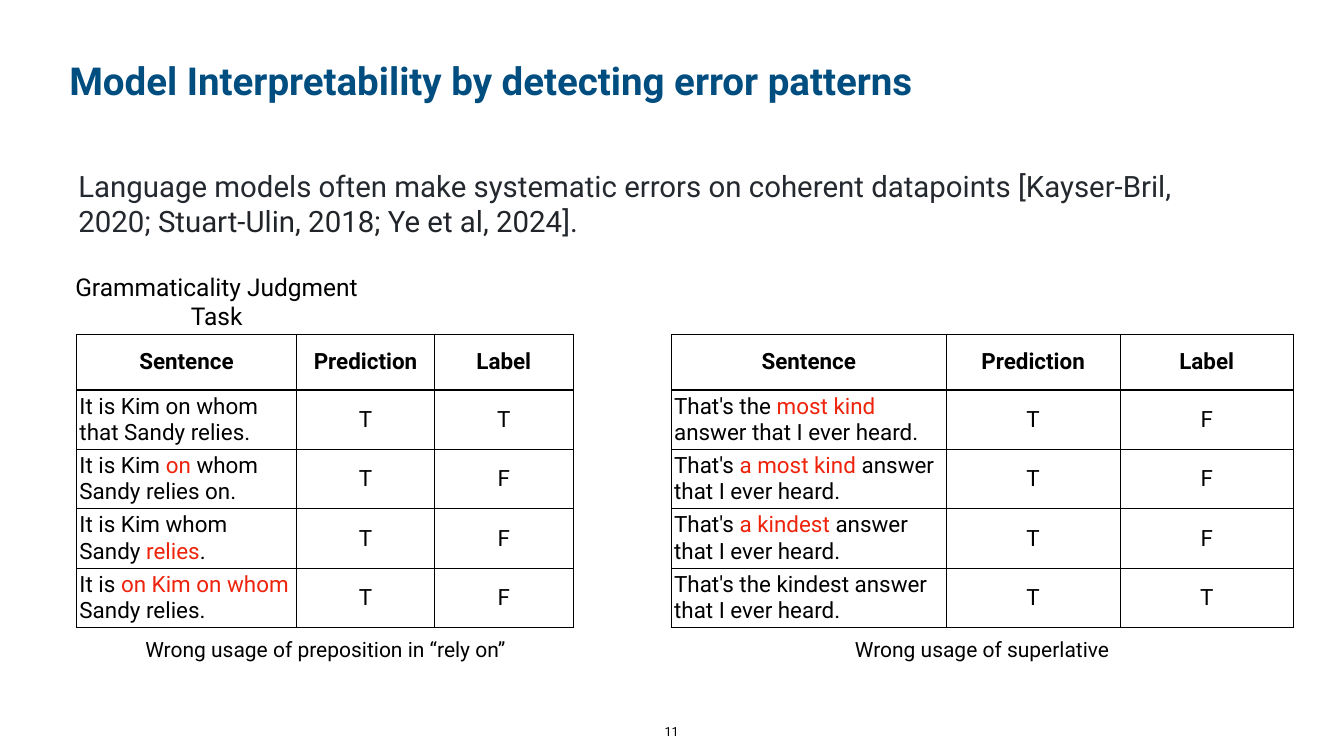
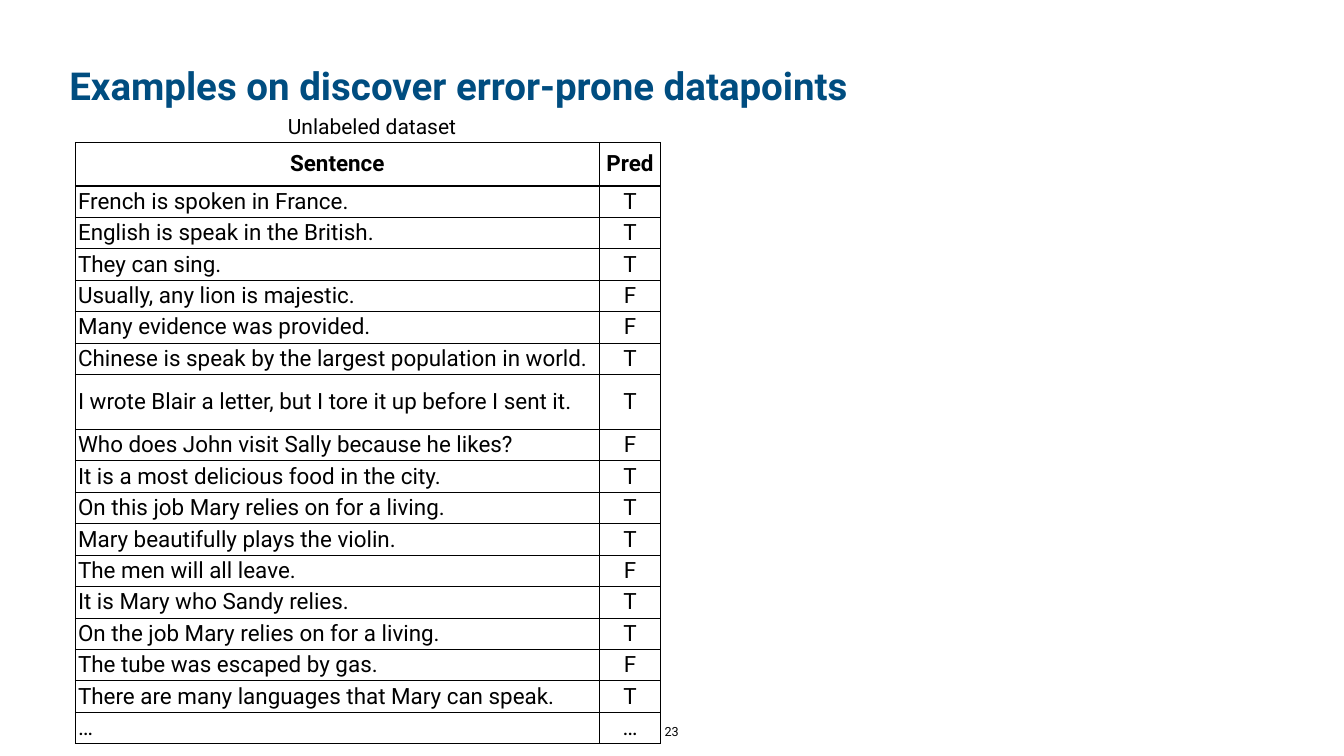
from dataclasses import dataclass

from lxml.etree import SubElement
from pptx import Presentation
from pptx.dml.color import RGBColor
from pptx.enum.text import MSO_ANCHOR, PP_ALIGN
from pptx.oxml.ns import qn
from pptx.util import Pt


@dataclass(frozen=True)
class Theme:
    font: str = "Roboto"
    title_color: str = "004D80"
    text_color: str = "000000"
    error_color: str = "EE230C"
    intro_color: str = "24292F"
    citation_color: str = "212529"
    title_size: int = 55
    intro_size: int = 42
    task_size: int = 35
    table_size: int = 32
    caption_size: int = 30
    number_size: int = 18
    inset: float = 4
    dense_inset: float = 3.25
    thin_line: int = 1
    header_line: int = 3


THEME = Theme()
SLIDE_SIZE = (1920, 1080)
JUDGMENT_HEADER = ("Sentence", "Prediction", "Label")

INTRO_SPANS = [
    ("Language models often make systematic errors on coherent datapoints [Kayser-Bril, 2020; ",
     THEME.intro_color),
    ("Stuart-Ulin, 2018; Ye et al, 2024", THEME.citation_color),
    ("].", THEME.intro_color),
]

ERROR_PATTERNS = [
    {
        "caption": "Wrong usage of preposition in “rely on”",
        "caption_left": 198,
        "caption_width": 534,
        "left": 109.5,
        "columns": (314, 197.5, 197.5),
        "rows": [
            ("It is Kim on whom that Sandy relies.", "T", "T"),
            ("It is Kim *on* whom Sandy relies on.", "T", "F"),
            ("It is Kim whom Sandy *relies*.", "T", "F"),
            ("It is *on Kim on whom* Sandy relies.", "T", "F"),
        ],
    },
    {
        "caption": "Wrong usage of superlative",
        "caption_left": 1216,
        "caption_width": 374,
        "left": 959,
        "columns": (393, 248, 248),
        "rows": [
            ("That's the *most kind* answer that I ever heard.", "T", "F"),
            ("That's *a most kind* answer that I ever heard.", "T", "F"),
            ("That's *a kindest* answer that I ever heard.", "T", "F"),
            ("That's the kindest answer that I ever heard.", "T", "T"),
        ],
    },
]

UNLABELED_ROWS = [
    ("French is spoken in France.", "T"),
    ("English is speak in the British.", "T"),
    ("They can sing.", "T"),
    ("Usually, any lion is majestic.", "F"),
    ("Many evidence was provided.", "F"),
    ("Chinese is speak by the largest population in world.", "T"),
    ("I wrote Blair a letter, but I tore it up before I sent it.", "T"),
    ("Who does John visit Sally because he likes?", "F"),
    ("It is a most delicious food in the city.", "T"),
    ("On this job Mary relies on for a living.", "T"),
    ("Mary beautifully plays the violin.", "T"),
    ("The men will all leave.", "F"),
    ("It is Mary who Sandy relies.", "T"),
    ("On the job Mary relies on for a living.", "T"),
    ("The tube was escaped by gas.", "F"),
    ("There are many languages that Mary can speak.", "T"),
    ("…", "…"),
]
UNLABELED_HEIGHTS = [62.5] + [40.5] * 6 + [78.5] + [40.5] * 10


def write_spans(para, spans, size, bold=False, align=PP_ALIGN.LEFT):
    para.alignment = align
    for text, color in spans:
        span = para.add_run()
        span.text = text
        span.font.name = THEME.font
        span.font.size = Pt(size)
        span.font.bold = bold
        span.font.color.rgb = RGBColor.from_string(color)


def set_margins(holder, vertical=THEME.inset):
    holder.margin_left = holder.margin_right = Pt(THEME.inset)
    holder.margin_top = holder.margin_bottom = Pt(vertical)


def add_text(page, bounds, spans, size, bold=False, align=PP_ALIGN.CENTER,
             anchor=MSO_ANCHOR.MIDDLE, wrap=True):
    box = page.shapes.add_textbox(*map(Pt, bounds))
    frame = box.text_frame
    frame.word_wrap = wrap
    frame.vertical_anchor = anchor
    set_margins(frame)
    write_spans(frame.paragraphs[0], spans, size, bold, align)


def add_page(deck, title, title_top, number):
    page = deck.slides.add_slide(deck.slide_layouts[6])
    add_text(page, (95, title_top, 1730, 113), [(title, THEME.title_color)],
             THEME.title_size, True, PP_ALIGN.LEFT, MSO_ANCHOR.TOP)
    add_text(page, (945, 1030, 29, 30), [(number, THEME.text_color)],
             THEME.number_size, anchor=MSO_ANCHOR.BOTTOM, wrap=False)
    return page


def draw_borders(cell, row_index):
    header_edges = {(0, "lnB"), (1, "lnT")}
    properties = cell._tc.get_or_add_tcPr()
    for edge in ("lnL", "lnR", "lnT", "lnB"):
        width = THEME.header_line if (row_index, edge) in header_edges else THEME.thin_line
        line = SubElement(properties, qn(f"a:{edge}"), w=str(Pt(width)))
        fill = SubElement(line, qn("a:solidFill"))
        SubElement(fill, qn("a:srgbClr"), val=THEME.text_color)


def mark_errors(text):
    colors = (THEME.text_color, THEME.error_color)
    return [(part, colors[index % 2]) for index, part in enumerate(text.split("*")) if part]


def add_sentence_table(page, left, top, columns, heights, rows, vertical_inset=THEME.inset):
    table = page.shapes.add_table(len(rows), len(columns), Pt(left), Pt(top),
                                  Pt(sum(columns)), Pt(sum(heights))).table
    table.first_row = table.horz_banding = False
    for column, width in zip(table.columns, columns):
        column.width = Pt(width)
    for row_index, (values, height) in enumerate(zip(rows, heights)):
        table.rows[row_index].height = Pt(height)
        for column_index, value in enumerate(values):
            cell = table.cell(row_index, column_index)
            cell.vertical_anchor = MSO_ANCHOR.MIDDLE
            set_margins(cell, vertical_inset)
            draw_borders(cell, row_index)
            cell.fill.background()
            is_header = row_index == 0
            centered = is_header or column_index > 0
            write_spans(cell.text_frame.paragraphs[0], mark_errors(value), THEME.table_size,
                        is_header, PP_ALIGN.CENTER if centered else PP_ALIGN.LEFT)


def add_caption(page, text, bounds):
    add_text(page, bounds, [(text, THEME.text_color)], THEME.caption_size, wrap=False)


def build_error_patterns(deck):
    page = add_page(deck, "Model Interpretability by detecting error patterns", 77, "11")
    add_text(page, (108, 237, 1580, 107), INTRO_SPANS, THEME.intro_size, align=PP_ALIGN.LEFT)
    add_text(page, (97, 382, 425, 96), [("Grammaticality Judgment Task", THEME.text_color)],
             THEME.task_size)
    for pattern in ERROR_PATTERNS:
        rows = [JUDGMENT_HEADER] + pattern["rows"]
        add_sentence_table(page, pattern["left"], 478, pattern["columns"],
                           [79] * len(rows), rows)
        add_caption(page, pattern["caption"],
                    (pattern["caption_left"], 906.5, pattern["caption_width"], 43))


def build_unlabeled_dataset(deck):
    page = add_page(deck, "Examples on discover error-prone datapoints", 85, "23")
    rows = [("Sentence", "Pred")] + UNLABELED_ROWS
    add_sentence_table(page, 107.5, 203, (749, 87), UNLABELED_HEIGHTS, rows,
                       THEME.dense_inset)
    add_caption(page, "Unlabeled dataset", (300, 150, 463, 61))


def main():
    deck = Presentation()
    deck.slide_width, deck.slide_height = map(Pt, SLIDE_SIZE)
    build_error_patterns(deck)
    build_unlabeled_dataset(deck)
    deck.save("out.pptx")


if __name__ == "__main__":
    main()
